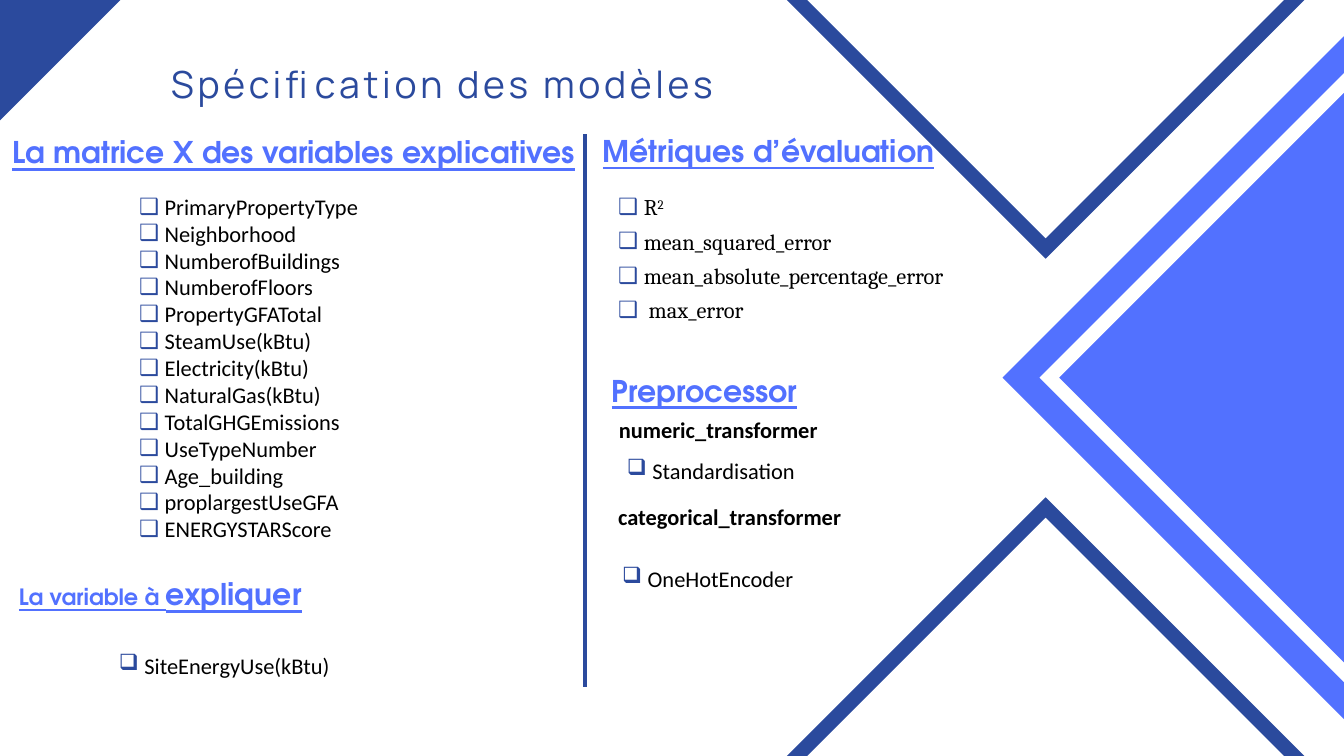
from lxml import etree
from pptx import Presentation
from pptx import util as u
from pptx.dml.color import RGBColor
from pptx.enum import text
from pptx.oxml.ns import qn

NAVY, BLUE, WHITE, BLACK = "2B4A9D", "5271FF", "FFFFFF", "000000"
HEAD, BODY, SERIF, TITLE = "TeX Gyre Adventor", "Calibri", "Cambria", "Manrope"

VARIABLES = [
    "PrimaryPropertyType", "Neighborhood", "NumberofBuildings",
    "NumberofFloors", "PropertyGFATotal", "SteamUse(kBtu)",
    "Electricity(kBtu)", "NaturalGas(kBtu)", "TotalGHGEmissions",
    "UseTypeNumber", "Age_building", "proplargestUseGFA", "ENERGYSTARScore",
]
METRICS = ["mean_squared_error", "mean_absolute_percentage_error", " max_error"]


def color(value):
    return RGBColor.from_string(value)


def outline(s, fill, *contours):
    """Filled freeform; a second contour cuts a hole."""
    fb = None
    for contour in contours:
        pts = [(u.Inches(x), u.Inches(y)) for x, y in contour]
        if fb is None:
            fb = s.shapes.build_freeform(*pts[0], scale=1.0)
        else:
            fb.move_to(*pts[0])
        fb.add_line_segments(pts[1:], close=True)
    sp = fb.convert_to_shape()
    sp.shadow.inherit = False
    sp.fill.solid()
    sp.fill.fore_color.rgb = color(fill)
    sp.line.fill.background()


def diamond(cx, cy, radius):
    return [(cx, cy - radius), (cx - radius, cy),
            (cx, cy + radius), (cx + radius, cy)]


def frame_for(sp, box, inset=True, anchor=text.MSO_ANCHOR.TOP):
    """Place a text shape and return its text frame."""
    sp.left, sp.top, sp.width, sp.height = (u.Inches(v) for v in box)
    tf = sp.text_frame
    tf.word_wrap = True
    tf.auto_size = text.MSO_AUTO_SIZE.SHAPE_TO_FIT_TEXT
    tf.vertical_anchor = anchor
    tf.margin_left = tf.margin_right = u.Inches(0.1 if inset else 0)
    tf.margin_top = tf.margin_bottom = u.Inches(0.05 if inset else 0)
    return tf


def textbox(s):
    return s.shapes.add_textbox(0, 0, u.Inches(1), u.Inches(1))


def add_run(p, words, font, size, fill, bold=False, underline=False):
    r = p.add_run()
    r.text = words
    r.font.name, r.font.size = font, u.Pt(size)
    r.font.bold, r.font.underline = bold, underline
    r.font.color.rgb = color(fill)
    return r


def heading(sp, left, top, *runs):
    p = frame_for(sp, (left, top, 9.99, 0.54), inset=False).paragraphs[0]
    p.space_before = u.Pt(0)
    for words, size in runs:
        add_run(p, words, HEAD, size, BLUE, bold=True, underline=True)


def subheading(s, left, top, words):
    p = frame_for(textbox(s), (left, top, 4.06, 0.5)).paragraphs[0]
    add_run(p, words, BODY, 24, BLACK, bold=True)


def add_bullet(p):
    pPr = p._p.get_or_add_pPr()
    pPr.set("marL", str(u.Inches(0.38)))
    pPr.set("indent", str(-u.Inches(0.38)))
    clr = etree.SubElement(pPr, qn("a:buClr"))
    etree.SubElement(clr, qn("a:srgbClr")).set("val", NAVY)
    etree.SubElement(pPr, qn("a:buChar")).set("char", "❑")


def checklist(sp, box, items, font=BODY, after=0, anchor=text.MSO_ANCHOR.TOP):
    tf = frame_for(sp, box, anchor=anchor)
    for i, item in enumerate(items):
        p = tf.add_paragraph() if i else tf.paragraphs[0]
        add_bullet(p)
        p.space_before, p.space_after = u.Pt(0), u.Pt(after)
        add_run(p, item, font, 24, BLACK)
    return tf


def title(sp, words):
    p = frame_for(sp, (1.67, 0.41, 9.99, 1.04), inset=False).paragraphs[0]
    p.alignment = text.PP_ALIGN.CENTER
    p.line_spacing = u.Pt(84)
    r = add_run(p, words, TITLE, 40, NAVY)
    r._r.get_or_add_rPr().set("spc", "400")


def decoration(s):
    outline(s, BLUE, diamond(20, 5.62, 5.08))
    outline(s, WHITE, diamond(20, 5.62, 4.53), diamond(20, 5.62, 4.24))
    for cy in (12.17, -0.92):
        outline(s, NAVY, diamond(15.56, cy, 4.77), diamond(15.56, cy, 4.47))
    # Corner triangle and column divider
    outline(s, NAVY, [(0, 1.79), (0, 0), (1.79, 0)])
    outline(s, NAVY, [(8.68, 1.99), (8.73, 1.99), (8.73, 10.23), (8.68, 10.23)])


def main():
    prs = Presentation()
    prs.slide_width, prs.slide_height = u.Inches(20), u.Inches(11.25)
    s = prs.slides.add_slide(prs.slide_layouts[4])  # Comparison layout
    title_ph, left_head, left_list, right_head, right_list = s.placeholders

    decoration(s)
    # Bring the text in front of the decoration
    for ph in list(s.placeholders):
        s.shapes._spTree.append(ph._element)

    title(title_ph, "Spécification des modèles ")

    # Left column
    heading(left_head, 0.18, 1.99,
            ("La matrice X des variables explicatives", 32))
    checklist(left_list, (1.97, 2.82, 6.46, 5.35), VARIABLES)
    heading(textbox(s), 0.28, 8.57, ("La variable à ", 24), ("expliquer", 32))
    checklist(textbox(s), (1.67, 9.65, 5.83, 0.5), ["SiteEnergyUse(kBtu)"])

    # Right column: metrics
    heading(right_head, 8.97, 1.97, ("Métriques d’évaluation", 32))
    tf = checklist(right_list, (9.1, 2.82, 6.1, 2.05), ["R"] + METRICS,
                   SERIF, after=8, anchor=text.MSO_ANCHOR.MIDDLE)
    square = add_run(tf.paragraphs[0], "2", SERIF, 24, BLACK)
    square._r.get_or_add_rPr().set("baseline", "30000")

    # Right column: preprocessor
    heading(textbox(s), 9.1, 5.54, ("Preprocessor", 32))
    subheading(s, 9.11, 6.14, "numeric_transformer")
    checklist(textbox(s), (9.23, 6.75, 3.72, 0.5), ["Standardisation"])
    subheading(s, 9.1, 7.44, "categorical_transformer")
    checklist(textbox(s), (9.16, 8.36, 4.38, 0.5), ["OneHotEncoder"])

    prs.save("out.pptx")


if __name__ == "__main__":
    main()
